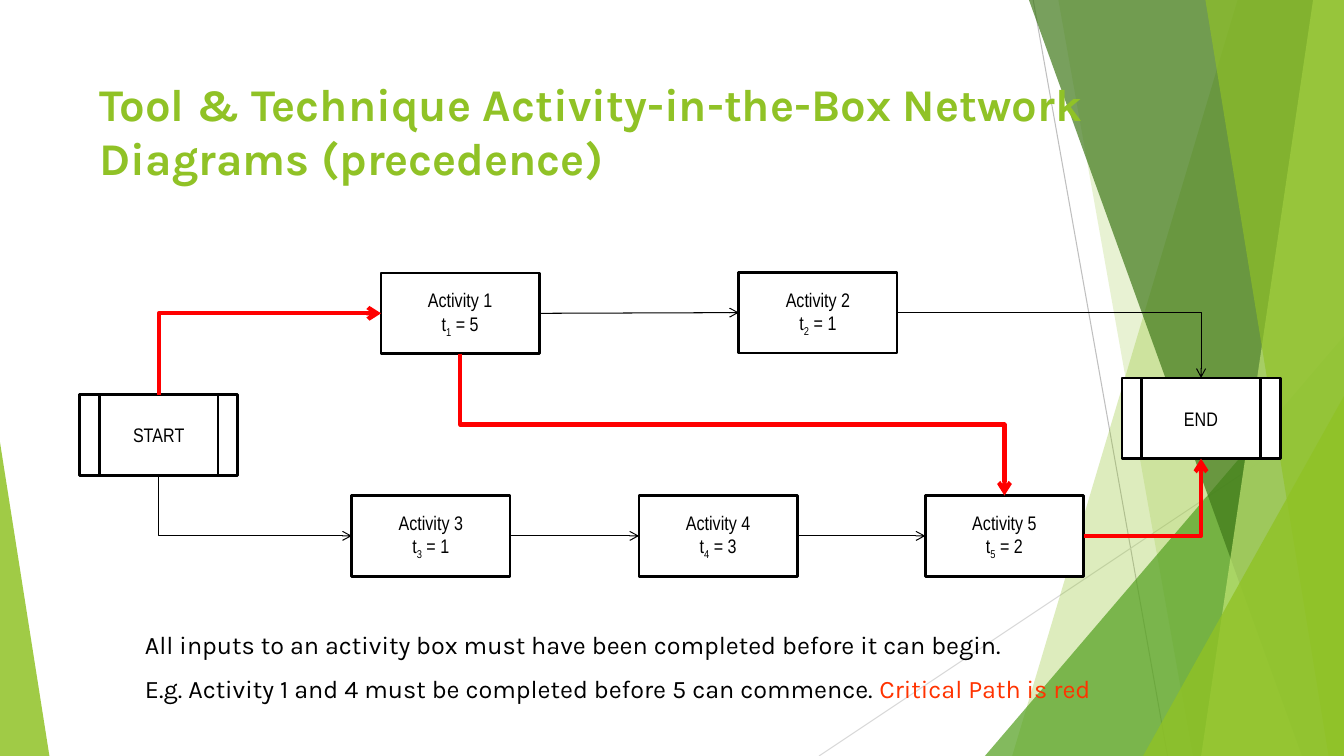
from lxml import etree
from pptx import Presentation
from pptx.dml.color import RGBColor
from pptx.enum import shapes, text
from pptx.oxml import ns
from pptx.util import Pt

WIDTH, HEIGHT = 960, 540
BOX_WIDTH, BOX_HEIGHT = 113, 57.6
TOP, LEFT, BOTTOM, RIGHT = range(4)
RED, BLACK, WHITE, GREEN = "FF0000", "000000", "FFFFFF", "90C226"

TITLE = "Tool & Technique Activity-in-the-Box Network Diagrams (precedence)"
NOTES = [
    [("All inputs to an activity box must have been completed before it can begin.", BLACK)],
    [("E.g. Activity 1 and 4 must be completed before 5 can commence. ", BLACK),
     ("Critical Path is red", "FF3300")],
]
RAYS = [((738, 0), (834, 540), "BFBFBF"), ((960, 290), (585, 540), "D9D9D9")]
DECOR = [
    ("band", (884, 723), GREEN, 30),
    ("band", (756, 852), GREEN, 20),
    ("triangle", (703.5, 240, 256.5, 300, 1), "54A021", 72),
    ("band", (735, 930), "3F7819", 70),
    ("band", (938, 858), "C0E474", 70),
    ("band", (861, 949), GREEN, 65),
    ("triangle", (816.5, 283, 143.5, 257, 1), GREEN, 80),
    ("triangle", (0, 316, 35.3, 224, 0), GREEN, 85),
]
TERMINALS = [("START", 56.9, 282), ("END", 801.4, 270)]
ACTIVITIES = [
    (1, 5, 272.2, 195),
    (2, 1, 527.8, 194.5),
    (3, 1, 251.3, 354),
    (4, 3, 456.5, 354),
    (5, 2, 661, 354),
]
LINKS = [
    (1, RIGHT, 2, LEFT, "line", False),
    (3, RIGHT, 4, LEFT, "line", False),
    ("START", BOTTOM, 3, LEFT, "bentConnector2", False),
    (4, RIGHT, 5, LEFT, "line", False),
    (1, BOTTOM, 5, TOP, "bentConnector3", True),
    ("START", TOP, 1, LEFT, "bentConnector2", True),
    (2, RIGHT, "END", TOP, "bentConnector2", False),
    (5, RIGHT, "END", BOTTOM, "bentConnector2", True),
]


def rgb(value):
    return RGBColor.from_string(value)


def write(paragraph, content, size=14, font="Arial Narrow", color=BLACK, bold=False, baseline=0):
    run = paragraph.add_run()
    run.text = content
    run.font.size = Pt(size)
    run.font.name = font
    run.font.bold = bold
    run.font.color.rgb = rgb(color)
    if baseline:
        run._r.get_or_add_rPr().set("baseline", str(baseline * 1000))


def paint(shape, color, opacity=100, outline=None):
    shape.shadow.inherit = False
    shape.fill.solid()
    shape.fill.fore_color.rgb = rgb(color)
    if opacity < 100:
        tint = shape._element.spPr.find(".//" + ns.qn("a:srgbClr"))
        etree.SubElement(tint, ns.qn("a:alpha")).set("val", str(opacity * 1000))
    if outline:
        shape.line.color.rgb = rgb(outline)
        shape.line.width = Pt(2)
    else:
        shape.line.fill.background()


def add_line(slide, kind, start, end, color, width):
    connector = slide.shapes.add_connector(kind, *[Pt(value) for value in (*start, *end)])
    connector.line.color.rgb = rgb(color)
    connector.line.width = Pt(width)
    etree.SubElement(connector._element.spPr, ns.qn("a:effectLst"))
    return connector


def add_decor(slide):
    for start, end, color in RAYS:
        add_line(slide, shapes.MSO_CONNECTOR.STRAIGHT, start, end, color, 0.75)
    for kind, geometry, color, opacity in DECOR:
        if kind == "band":
            top, bottom = geometry
            builder = slide.shapes.build_freeform(top, 0, scale=Pt(1))
            builder.add_line_segments([(WIDTH, 0), (WIDTH, HEIGHT), (bottom, HEIGHT)], close=True)
            shape = builder.convert_to_shape()
        else:
            *box, apex = geometry
            shape = slide.shapes.add_shape(
                shapes.MSO_SHAPE.ISOSCELES_TRIANGLE, *[Pt(value) for value in box])
            shape.adjustments[0] = apex
        paint(shape, color, opacity)


def add_box(slide, kind, left, top):
    box = slide.shapes.add_shape(kind, Pt(left), Pt(top), Pt(BOX_WIDTH), Pt(BOX_HEIGHT))
    paint(box, WHITE, outline=BLACK)
    box.text_frame.word_wrap = False
    box.text_frame.vertical_anchor = text.MSO_ANCHOR.MIDDLE
    paragraph = box.text_frame.paragraphs[0]
    paragraph.alignment = text.PP_ALIGN.CENTER
    return box, paragraph


def side_point(box, side):
    across = {TOP: 0.5, LEFT: 0, BOTTOM: 0.5, RIGHT: 1}[side]
    down = {TOP: 0, LEFT: 0.5, BOTTOM: 1, RIGHT: 0.5}[side]
    return box.left.pt + across * box.width.pt, box.top.pt + down * box.height.pt


def turn_vertical_first(connector, start, end):
    width, height = abs(end[0] - start[0]), abs(end[1] - start[1])
    connector.left = Pt((start[0] + end[0] - height) / 2)
    connector.top = Pt((start[1] + end[1] - width) / 2)
    connector.width, connector.height = Pt(height), Pt(width)
    frame = connector._element.spPr.find(ns.qn("a:xfrm"))
    frame.set("rot", str(270 * 60000))
    frame.set("flipH", str(int(end[1] > start[1])))
    frame.set("flipV", "0")


def add_link(slide, source, source_side, target, target_side, preset, critical):
    start, end = side_point(source, source_side), side_point(target, target_side)
    straight = preset == "line"
    kind = shapes.MSO_CONNECTOR.STRAIGHT if straight else shapes.MSO_CONNECTOR.ELBOW
    connector = add_line(slide, kind, start, end, RED if critical else BLACK, 3 if critical else 0.75)
    connector.begin_connect(source, source_side)
    connector.end_connect(target, target_side)
    if not straight:
        connector._element.spPr.find(ns.qn("a:prstGeom")).set("prst", preset)
        if source_side in (TOP, BOTTOM):
            turn_vertical_first(connector, start, end)
    line = connector._element.spPr.find(ns.qn("a:ln"))
    etree.SubElement(line, ns.qn("a:tailEnd")).set("type", "arrow")


def add_title(slide):
    title = slide.shapes.title
    title.left, title.top, title.width, title.height = Pt(64), Pt(48), Pt(832), Pt(90)
    slide.shapes._spTree.append(title._element)
    frame = title.text_frame
    frame.word_wrap = True
    frame.auto_size = text.MSO_AUTO_SIZE.NONE
    frame.vertical_anchor = text.MSO_ANCHOR.MIDDLE
    frame.paragraphs[0].alignment = text.PP_ALIGN.LEFT
    write(frame.paragraphs[0], TITLE, size=32.4, font="Karla", color=GREEN, bold=True)


def add_notes(slide):
    frame = slide.shapes.add_textbox(Pt(96.5), Pt(445), Pt(705.5), Pt(62)).text_frame
    frame.word_wrap = False
    frame.vertical_anchor = text.MSO_ANCHOR.MIDDLE
    for index, runs in enumerate(NOTES):
        paragraph = frame.add_paragraph() if index else frame.paragraphs[0]
        if index:
            paragraph.space_before = Pt(9.5)
        for content, color in runs:
            write(paragraph, content, size=18, font="Karla", color=color)


def main():
    presentation = Presentation()
    presentation.slide_width, presentation.slide_height = Pt(WIDTH), Pt(HEIGHT)
    slide = presentation.slides.add_slide(presentation.slide_layouts[5])
    add_decor(slide)
    add_title(slide)
    boxes = {}
    for label, left, top in TERMINALS:
        boxes[label], paragraph = add_box(
            slide, shapes.MSO_SHAPE.FLOWCHART_PREDEFINED_PROCESS, left, top)
        write(paragraph, label)
    for number, duration, left, top in ACTIVITIES:
        boxes[number], paragraph = add_box(slide, shapes.MSO_SHAPE.FLOWCHART_PROCESS, left, top)
        write(paragraph, f"Activity {number}")
        paragraph.add_line_break()
        write(paragraph, "t")
        write(paragraph, str(number), baseline=-25)
        write(paragraph, f" = {duration}")
    for source, source_side, target, target_side, preset, critical in LINKS:
        add_link(slide, boxes[source], source_side, boxes[target], target_side, preset, critical)
    add_notes(slide)
    presentation.save("out.pptx")


if __name__ == "__main__":
    main()
